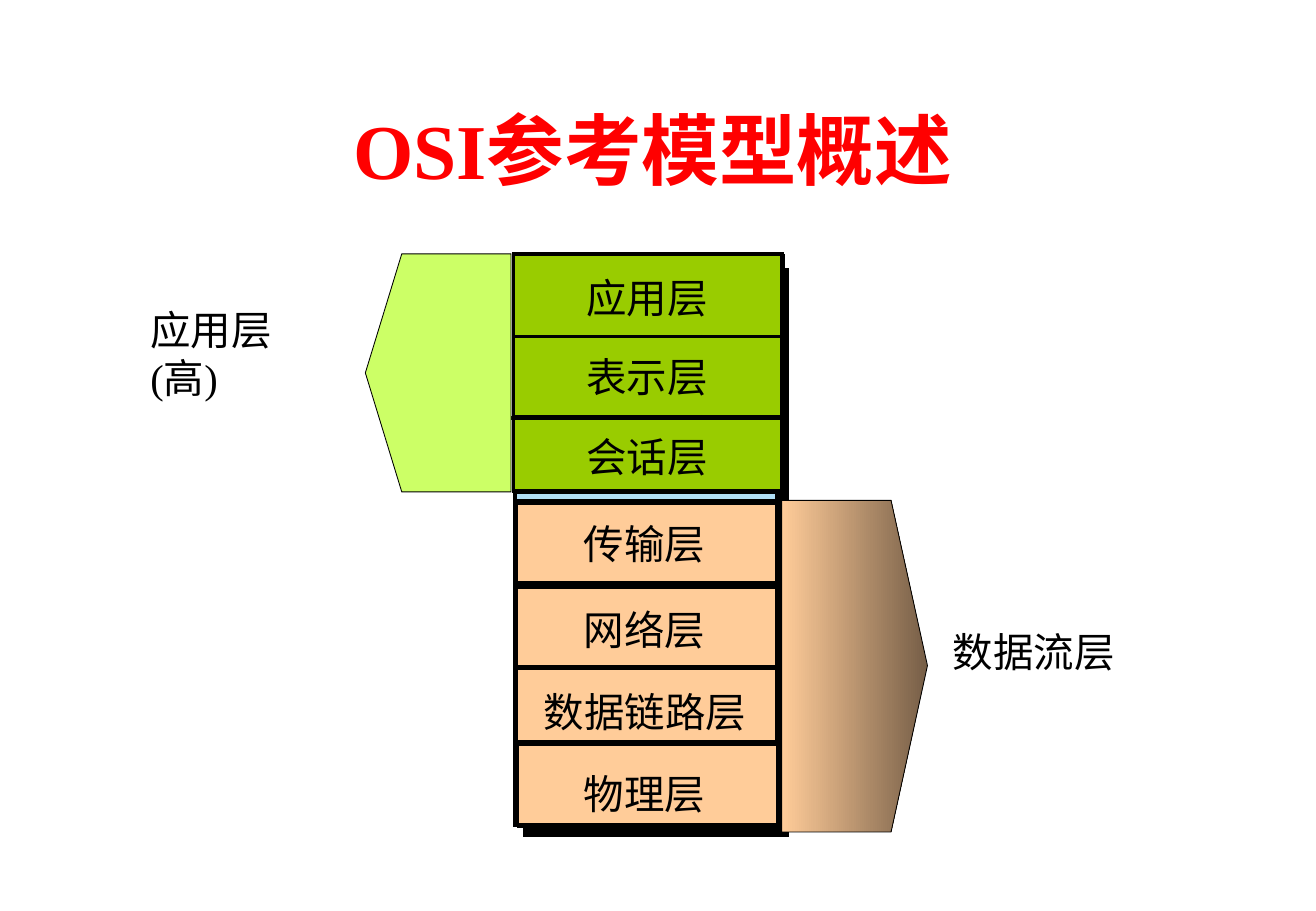
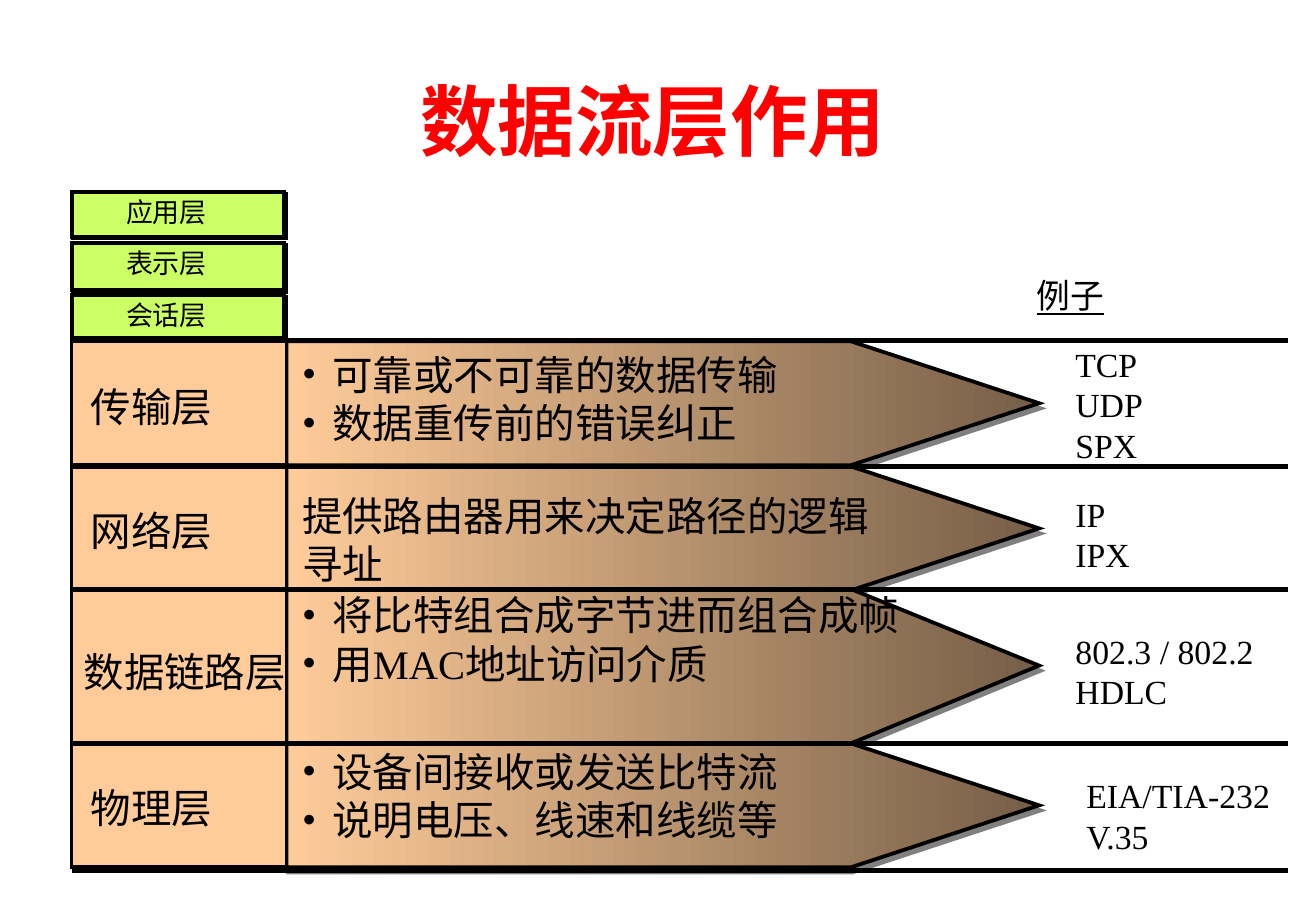
"""Build two slides on the OSI reference model and its data flow layers."""
from lxml import etree
from pptx import Presentation
from pptx import util as u
from pptx.dml.color import RGBColor
from pptx.enum import shapes, text
from pptx.oxml.ns import qn

PX = 9144
FONT = "Times New Roman"
HUES = {
    "ink": "000000",
    "title": "FF0000",
    "sky": "B0DEF5",
    "green": "99CC00",
    "lime": "CCFF66",
    "peach": "FFCC99",
    "brown": "765E47",
    "grey": "808080",
}
SMALL = ("ink", 1.4, 45)
LARGE = ("ink", 8.5, 45)
SOFT = ("grey", 3.2, 72)


def px(*vals):
    """Turn px lengths into EMU."""
    return [u.Emu(v * PX) for v in vals]


def hue(name):
    """Return the named colour."""
    return RGBColor.from_string(HUES[name])


def edge(item, width):
    """Give a shape or connector a black line with sharp corners."""
    item.line.color.rgb = hue("ink")
    item.line.width = u.Pt(width)
    etree.SubElement(item._element.spPr.find(qn("a:ln")), qn("a:miter"), lim="800000")


def shade(shape, cast):
    """Remove the theme shadow and add a hard one if asked."""
    shape.shadow.inherit = False
    if cast:
        name, dist, ang = cast
        fx = shape._element.spPr.find(qn("a:effectLst"))
        out = etree.SubElement(fx, qn("a:outerShdw"), dist=str(int(dist * 12700)),
                               dir=str(ang * 60000), algn="ctr", rotWithShape="0")
        etree.SubElement(out, qn("a:srgbClr"), val=HUES[name])


def box(slide, x, y, w, h, fill, cast=None):
    """Draw an outlined rectangle."""
    rect = slide.shapes.add_shape(shapes.MSO_SHAPE.RECTANGLE, *px(x, y, w, h))
    rect.fill.solid()
    rect.fill.fore_color.rgb = hue(fill)
    edge(rect, 2.25)
    shade(rect, cast)


def rule(slide, x, y, w, width=2.25):
    """Draw a horizontal line."""
    line = slide.shapes.add_connector(shapes.MSO_CONNECTOR.STRAIGHT, *px(x, y, x + w, y))
    edge(line, width)
    etree.SubElement(line._element.spPr, qn("a:effectLst"))


def arrow(slide, x, y, h, neck, tip, fill=None, width=0.5, cast=None):
    """Draw a pentagon from its flat side to its tip, graded unless filled."""
    pen = slide.shapes.build_freeform(x, y, scale=PX)
    pen.add_line_segments([(neck, y), (tip, y + h // 2), (neck, y + h), (x, y + h)])
    shape = pen.convert_to_shape()
    if fill:
        shape.fill.solid()
        shape.fill.fore_color.rgb = hue(fill)
    else:
        shape.fill.gradient()
        shape.fill.gradient_angle = 180
        for stop, name in zip(shape.fill.gradient_stops, ("brown", "peach")):
            stop.color.rgb = hue(name)
    edge(shape, width)
    shade(shape, cast)


def dot(para):
    """Give a paragraph a hanging round bullet."""
    props = para._p.get_or_add_pPr()
    props.set("marL", "228600")
    props.set("indent", "-228600")
    tint = etree.SubElement(props, qn("a:buClr"))
    etree.SubElement(tint, qn("a:srgbClr"), val=HUES["ink"])
    etree.SubElement(props, qn("a:buFont"), typeface=FONT)
    etree.SubElement(props, qn("a:buChar"), char="•")


def write(slide, x, y, w, h, *lines, size=24, color="ink", bold=False, line=False,
          center=False, mid=False, wrap=False, grow=True, dots=False):
    """Place a text box with one paragraph per line."""
    frame = slide.shapes.add_textbox(*px(x, y, w, h)).text_frame
    frame.word_wrap = wrap
    if grow:
        frame.auto_size = text.MSO_AUTO_SIZE.SHAPE_TO_FIT_TEXT
    if mid:
        frame.vertical_anchor = text.MSO_ANCHOR.MIDDLE
    for i, words in enumerate(lines):
        para = frame.add_paragraph() if i else frame.paragraphs[0]
        para.text = words
        if center:
            para.alignment = text.PP_ALIGN.CENTER
        if dots:
            dot(para)
        for run in para.runs:
            font = run.font
            font.name, font.size = FONT, u.Pt(size)
            font.bold, font.underline = bold, line
            font.color.rgb = hue(color)


def title(slide, y, words):
    """Write the slide title."""
    write(slide, 77, y, 921, 125, words, size=46, color="title", bold=True,
          center=True, mid=True, wrap=True, grow=False)


def model(slide):
    """Draw the seven layer stack and its two groups."""
    write(slide, 775, 511, 170, 50, "数据流层")
    box(slide, 424, 214, 216, 465, "sky", LARGE)
    for x, y in ((424, 481), (424, 550), (426, 618), (424, 412)):
        rule(slide, x, y, 216)
    for y, top, x, w, name in ((414, 422, 471, 130, "传输层"),
                               (549, 561, 438, 205, "数据链路层"),
                               (483, 493, 471, 130, "网络层")):
        box(slide, 425, y, 215, 66, "peach", SMALL)
        write(slide, x, top, w, 50, name)
    arrow(slide, 644, 412, 273, 734, 764)
    rule(slide, 426, 611, 216)
    rule(slide, 428, 678, 216)
    box(slide, 426, 613, 215, 66, "peach", SMALL)
    write(slide, 471, 628, 130, 50, "物理层")
    write(slide, 114, 246, 130, 90, "应用层", "(高)")
    for x, y in ((422, 277), (420, 344)):
        rule(slide, x, y, 216)
    for y, h, top, name in ((209, 68, 220, "应用层"), (277, 66, 285, "表示层"),
                            (344, 60, 351, "会话层")):
        box(slide, 423, y, 221, h, "green", SMALL)
        write(slide, 468, top, 130, 50, name, center=True)
    arrow(slide, 421, 209, 196, 331, 301, "lime")
    title(slide, 60, "OSI参考模型概述")


def flow(slide):
    """Draw the role and examples of each data flow layer."""
    for y, h, name in ((200, 39, "表示层"), (158, 37, "应用层"), (243, 35, "会话层")):
        box(slide, 59, y, 175, h, "lime", SMALL)
        write(slide, 94, y - 2, 100, 37, name, size=16)
    write(slide, 844, 221, 213, 44, "例子", size=20, line=True, mid=True, wrap=True)
    rows = (
        (281, 102, (65, 310, 130, 50, "传输层"),
         (283, 491, "可靠或不可靠的数据传输", "数据重传前的错误纠正"),
         (876, 278, 107, 110, "TCP", "UDP", "SPX")),
        (384, 102, (65, 412, 130, 50, "网络层"),
         (399, 507, "提供路由器用来决定路径的逻辑寻址"),
         (876, 401, 107, 77, "IP", "IPX")),
        (485, 127, (59, 528, 205, 50, "数据链路层"),
         (481, 524, "将比特组合成字节进而组合成帧", "用MAC地址访问介质"),
         (876, 514, 198, 77, "802.3 / 802.2", "HDLC")),
        (612, 102, (65, 640, 130, 50, "物理层"),
         (610, 539, "设备间接收或发送比特流", "说明电压、线速和线缆等"),
         (885, 633, 190, 77, "EIA/TIA-232\nV.35")),
    )
    for y, h, label, (top, w, *roles), cases in rows:
        arrow(slide, 236, y, h, 701, 856, width=2.25, cast=SOFT)
        write(slide, 239, top, w, 90, *roles, wrap=True, dots=len(roles) > 1)
        box(slide, 59, y, 177, h, "peach")
        write(slide, *label)
        write(slide, *cases, size=20, mid=True, wrap=len(cases) > 5)
    for y in (280, 384, 485, 612, 717):
        rule(slide, 59, y, 1002, 3)
    title(slide, 36, "数据流层作用")


def main():
    """Build and save the deck."""
    deck = Presentation()
    deck.slide_width, deck.slide_height = px(1084, 750)
    for draw in (model, flow):
        draw(deck.slides.add_slide(deck.slide_layouts[6]))
    deck.save("out.pptx")


if __name__ == "__main__":
    main()
